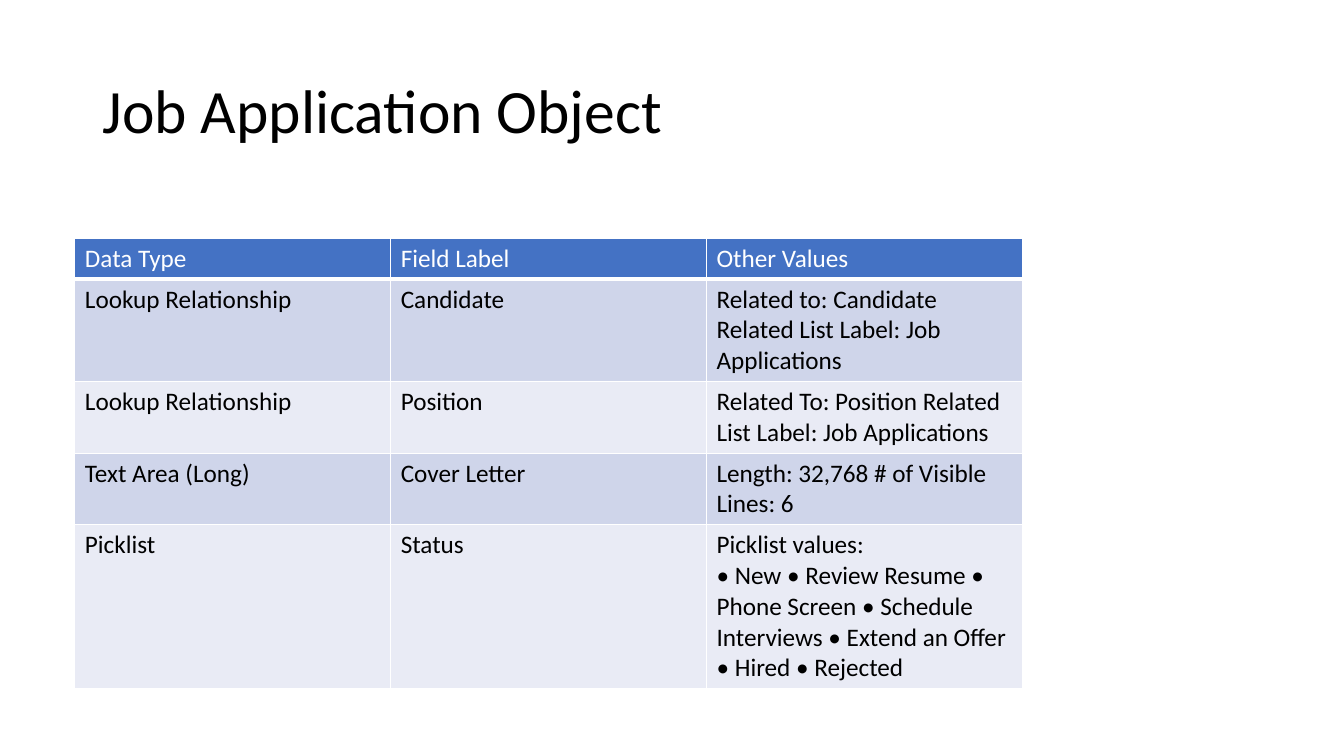
"""Builds a slide listing the fields of the Job Application object."""
from dataclasses import dataclass

from lxml import etree
from pptx import Presentation
from pptx.dml.color import RGBColor
from pptx.enum.text import MSO_ANCHOR, MSO_AUTO_SIZE, PP_ALIGN
from pptx.oxml.ns import qn
from pptx.slide import Slide
from pptx.table import _Cell
from pptx.text.text import _Paragraph
from pptx.util import Pt

LEFT = PP_ALIGN.LEFT
MIDDLE = MSO_ANCHOR.MIDDLE
NO_AUTOFIT = MSO_AUTO_SIZE.NONE
FONT = "Calibri"
COLORS = {
    "text": "000000",
    "header_text": "FFFFFF",
    "header": "4472C4",
    "odd_row": "CFD5EA",
    "even_row": "E9EBF5",
    "border": "FFFFFF",
}
COLUMN_WIDTH = Pt(225.6)
ROW_HEIGHT = Pt(29.2)
TABLE_HEIGHT = Pt(317.5)


@dataclass(frozen=True)
class Field:
    """One table row: data type, field label and lines of other values."""

    data_type: str
    label: str
    other_values: tuple[str, ...]


FIELDS = [
    Field("Data Type", "Field Label", ("Other Values",)),
    Field("Lookup Relationship", "Candidate",
          ("Related to: Candidate", "Related List Label: Job Applications")),
    Field("Lookup Relationship", "Position",
          ("Related To: Position Related List Label: Job Applications",)),
    Field("Text Area (Long)", "Cover Letter",
          ("Length: 32,768 # of Visible Lines: 6",)),
    Field("Picklist", "Status",
          ("Picklist values:",
           "• New • Review Resume • Phone Screen • Schedule Interviews "
           "• Extend an Offer • Hired • Rejected")),
]


def add_run(paragraph: _Paragraph, text: str, size: float, color: str) -> None:
    """Add one formatted run to a paragraph."""
    run = paragraph.add_run()
    run.text = text
    run.font.name = FONT
    run.font.size = Pt(size)
    run.font.bold = False
    run.font.color.rgb = RGBColor.from_string(COLORS[color])


def add_borders(cell: _Cell, top: float, bottom: float) -> None:
    """Draw the four borders of a cell, with side borders one point wide."""
    properties = cell._tc.get_or_add_tcPr()
    for side, width in (("L", 1), ("R", 1), ("T", top), ("B", bottom)):
        line = etree.SubElement(properties, qn(f"a:ln{side}"), w=str(Pt(width)))
        fill = etree.SubElement(line, qn("a:solidFill"))
        etree.SubElement(fill, qn("a:srgbClr"), val=COLORS["border"])


def fill_cell(cell: _Cell, lines: tuple[str, ...], row: int) -> None:
    """Write and format a cell according to its row."""
    background = "header" if row == 0 else "odd_row" if row % 2 else "even_row"
    add_borders(cell, top=3 if row == 1 else 1, bottom=3 if row == 0 else 1)
    cell.fill.solid()
    cell.fill.fore_color.rgb = RGBColor.from_string(COLORS[background])
    frame = cell.text_frame
    for index, line in enumerate(lines):
        paragraph = frame.add_paragraph() if index else frame.paragraphs[0]
        add_run(paragraph, line, 18, "text" if row else "header_text")


def add_title(slide: Slide, text: str) -> None:
    """Place and format the slide title."""
    title = slide.shapes.title
    title.left, title.top = Pt(66), Pt(28.75)
    title.width, title.height = Pt(828), Pt(104.4)
    frame = title.text_frame
    frame.auto_size = NO_AUTOFIT
    frame.vertical_anchor = MIDDLE
    paragraph = frame.paragraphs[0]
    paragraph.alignment = LEFT
    paragraph.line_spacing = 0.9
    add_run(paragraph, text, 44, "text")


def add_field_table(slide: Slide, fields: list[Field]) -> None:
    """Add the table of fields, whose first entry is the header."""
    table_frame = slide.shapes.add_table(
        len(fields), 3, Pt(53.5), Pt(170.2), 3 * COLUMN_WIDTH, TABLE_HEIGHT)
    table = table_frame.table
    for column in table.columns:
        column.width = COLUMN_WIDTH
    for row, field in enumerate(fields):
        table.rows[row].height = ROW_HEIGHT
        contents = ((field.data_type,), (field.label,), field.other_values)
        for column, lines in enumerate(contents):
            fill_cell(table.cell(row, column), lines, row)
    table_frame.height = TABLE_HEIGHT


def main() -> None:
    """Create and save the presentation."""
    presentation = Presentation()
    presentation.slide_width, presentation.slide_height = Pt(960), Pt(540)
    slide = presentation.slides.add_slide(presentation.slide_layouts[5])
    add_title(slide, "Job Application Object")
    add_field_table(slide, FIELDS)
    presentation.save("out.pptx")


if __name__ == "__main__":
    main()
